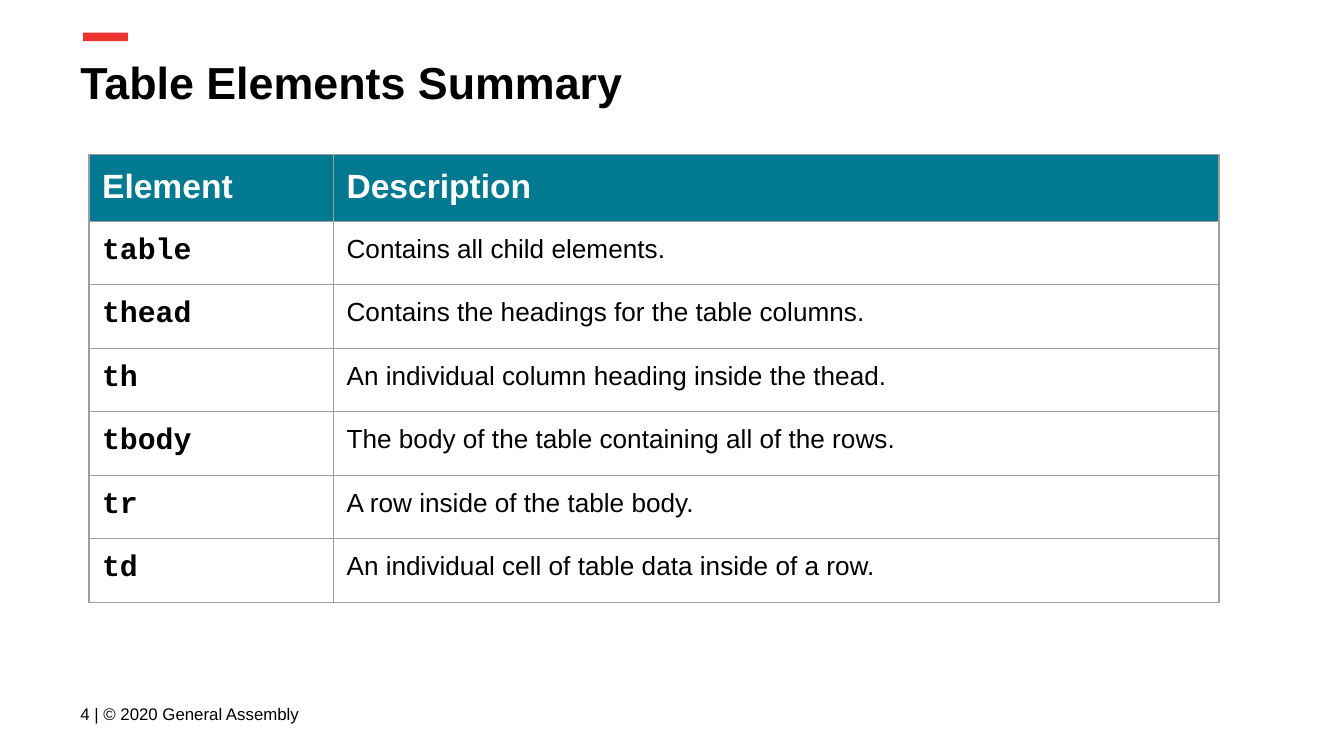
"""Build the slide that summarises the HTML table elements."""
from lxml import etree
from pptx import Presentation
from pptx.dml.color import RGBColor
from pptx.enum import shapes, text
from pptx.oxml import ns
from pptx.util import Cm, Pt

COLORS = {"accent": "ED332F", "header": "017991", "border": "9E9E9E",
          "black": "000000", "white": "FFFFFF"}
INSET = Cm(0.25)
ROWS = [
    ("Element", "Description"),
    ("table", "Contains all child elements."),
    ("thead", "Contains the headings for the table columns."),
    ("th", "An individual column heading inside the thead."),
    ("tbody", "The body of the table containing all of the rows."),
    ("tr", "A row inside of the table body."),
    ("td", "An individual cell of table data inside of a row."),
]


def write(frame, words, size, font="Arial", bold=False, color="black"):
    frame.word_wrap = True
    paragraph = frame.paragraphs[0]
    run = paragraph.add_run()
    run.text = words
    run.font.name = font
    run.font.size = Pt(size)
    run.font.bold = bold
    run.font.color.rgb = RGBColor.from_string(COLORS[color])


def add_borders(cell):
    properties = cell._tc.get_or_add_tcPr()
    for side in ("lnL", "lnR", "lnT", "lnB"):
        line = etree.SubElement(properties, ns.qn(f"a:{side}"), w=str(Pt(0.75)))
        fill = etree.SubElement(line, ns.qn("a:solidFill"))
        etree.SubElement(fill, ns.qn("a:srgbClr"), val=COLORS["border"])


presentation = Presentation()
presentation.slide_width = Cm(25.4)
presentation.slide_height = Cm(14.29)
slide = presentation.slides.add_slide(presentation.slide_layouts[6])

accent = slide.shapes.add_shape(
    shapes.MSO_SHAPE.RECTANGLE, Cm(1.57), Cm(0.62), Cm(0.85), Cm(0.16))
accent.shadow.inherit = False
accent.fill.solid()
accent.fill.fore_color.rgb = RGBColor.from_string(COLORS["accent"])
accent.line.fill.background()

for words, top, width, height, anchor, size, bold in (
    ("Table Elements Summary", 0.79, 23.67, 1.6, text.MSO_ANCHOR.TOP, 24, True),
    ("4 | © 2020 General Assembly", 12.95, 6.58, 1.09, text.MSO_ANCHOR.MIDDLE, 9, False),
):
    box = slide.shapes.add_textbox(Cm(1.27), Cm(top), Cm(width), Cm(height))
    frame = box.text_frame
    frame.margin_left = frame.margin_right = INSET
    frame.margin_top = frame.margin_bottom = INSET
    frame.vertical_anchor = anchor
    write(frame, words, size, bold=bold)

table = slide.shapes.add_table(
    len(ROWS), 2, Cm(1.68), Cm(2.92), Cm(21.36), Cm(8.17)).table
table.columns[0].width = Cm(4.62)
table.columns[1].width = Cm(16.74)
for row_index, row in enumerate(ROWS):
    is_header = row_index == 0
    table.rows[row_index].height = Cm(0.97 if is_header else 1.2)
    for column_index, words in enumerate(row):
        cell = table.cell(row_index, column_index)
        cell.margin_left = cell.margin_right = INSET
        cell.margin_top = cell.margin_bottom = INSET
        add_borders(cell)
        cell.fill.solid()
        cell.fill.fore_color.rgb = RGBColor.from_string(
            COLORS["header" if is_header else "white"])
        if is_header:
            write(cell.text_frame, words, 18, bold=True, color="white")
        elif column_index == 0:
            write(cell.text_frame, words, 16, font="Courier New", bold=True)
        else:
            write(cell.text_frame, words, 14)

presentation.save("out.pptx")
